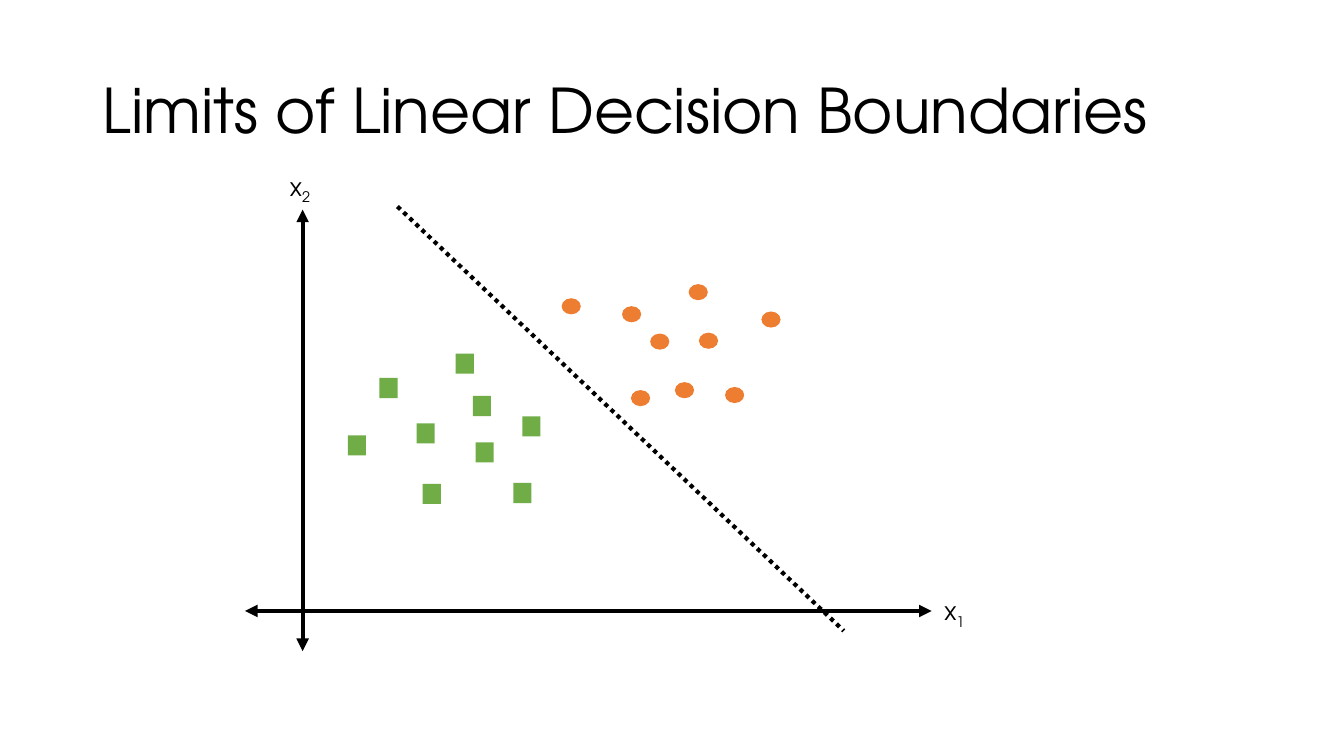
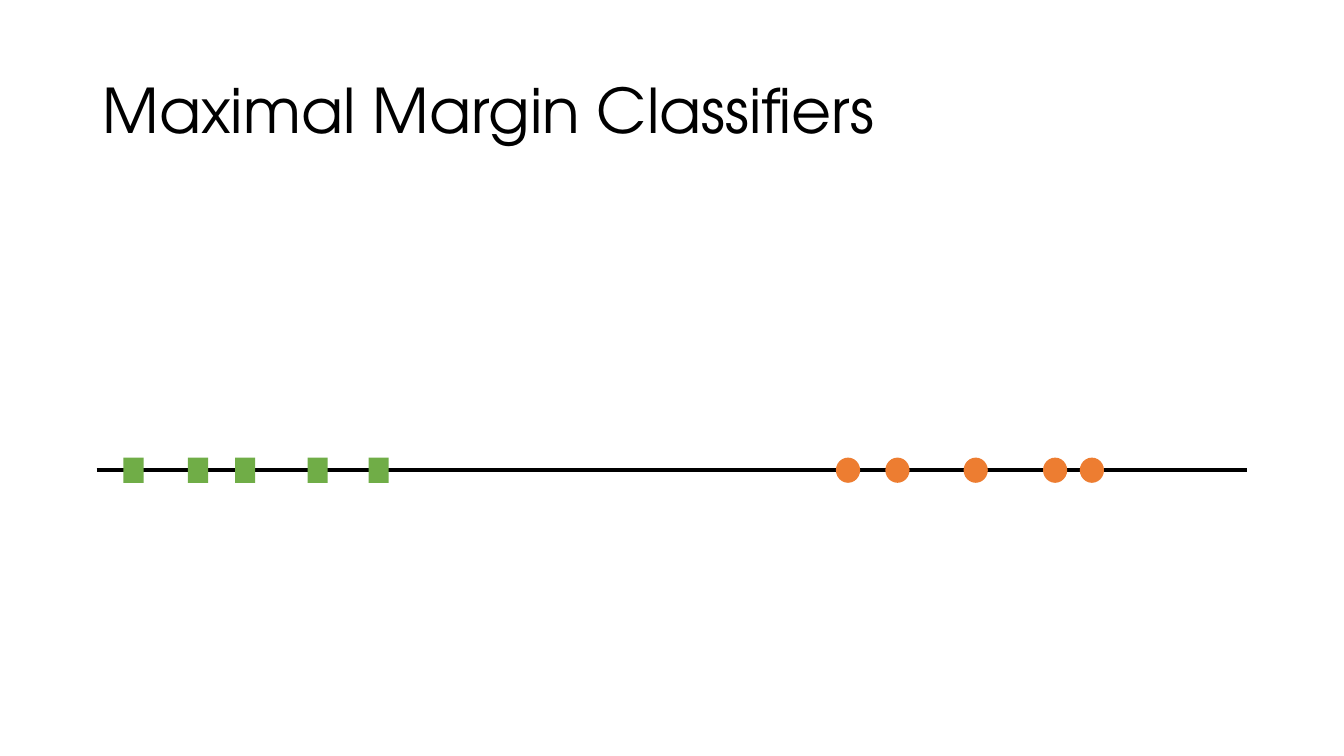
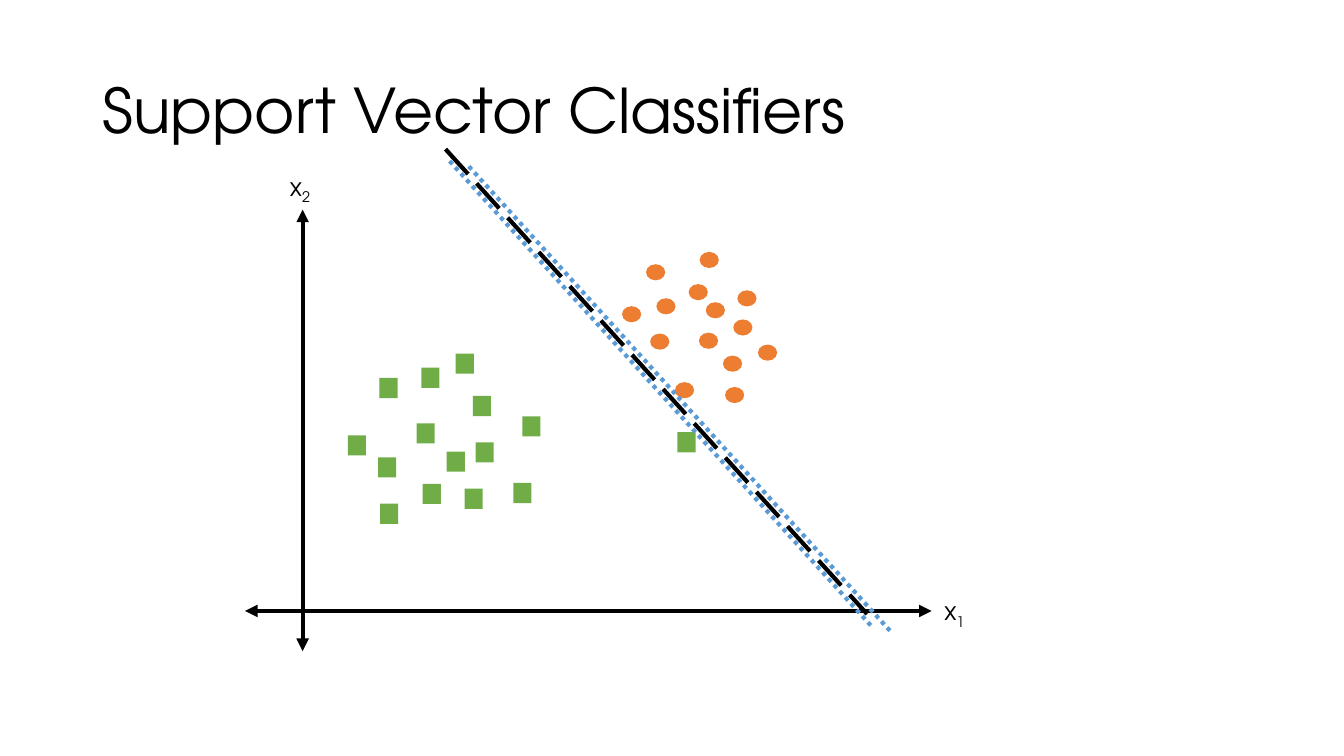
from dataclasses import dataclass

from pptx import Presentation
from pptx.dml.color import RGBColor
from pptx.enum.dml import MSO_LINE_DASH_STYLE as Dash
from pptx.enum.shapes import MSO_CONNECTOR, MSO_SHAPE as Preset
from pptx.enum.text import MSO_ANCHOR, MSO_AUTO_SIZE
from pptx.oxml.ns import qn
from pptx.oxml.xmlchemy import OxmlElement
from pptx.util import Inches, Pt


@dataclass(frozen=True)
class Theme:
    font: str = "TeX Gyre Adventor"
    ink: RGBColor = RGBColor(0x00, 0x00, 0x00)
    square: RGBColor = RGBColor(0x70, 0xAD, 0x47)
    circle: RGBColor = RGBColor(0xED, 0x7D, 0x31)
    margin: RGBColor = RGBColor(0x5B, 0x9B, 0xD5)
    title_size: int = 44
    label_size: int = 18
    line_width: int = 3


@dataclass(frozen=True)
class Box:
    """A region in inches; its inside is measured in percent."""
    left: float
    top: float
    width: float
    height: float

    def point(self, x, y):
        return self.left + self.width * x / 100, self.top + self.height * y / 100

    def region(self, x, y, width, height):
        return Box(*self.point(x, y), self.width * width / 100, self.height * height / 100)

    def emu(self):
        return [Inches(v) for v in (self.left, self.top, self.width, self.height)]


THEME = Theme()
SLIDE = Box(0, 0, 13.33, 7.5)
TITLE = SLIDE.region(6.9, 5.33, 86.27, 19.33)
PLOT = SLIDE.region(18.23, 27.73, 51.09, 58.4)
NUMBER_LINE = SLIDE.region(7.2, 60.53, 85.6, 3.33)

# Marker kinds: preset, colour
SQUARE = (Preset.RECTANGLE, THEME.square)
CIRCLE = (Preset.OVAL, THEME.circle)

# Marker sizes in inches
PLOT_SIZES = {SQUARE: (0.18, 0.2), CIRCLE: (0.19, 0.16)}
NUMBER_SIZES = {SQUARE: (0.2, 0.25), CIRCLE: (0.24, 0.25)}

# Marker centres, in percent of the plot
SQUARES = [(20.9, 40.4), (26.3, 50.7), (16.3, 53.4), (27.2, 64.4), (34.9, 55),
           (40.4, 64.2), (32, 34.9), (34.5, 44.5), (41.7, 49.1)]
CIRCLES = [(56.3, 23.7), (64, 40.9), (67.5, 29.7), (60.4, 29.9), (71.3, 42), (66, 18.7)]
LINEAR_CIRCLES = [(47.5, 21.9), (57.6, 42.7), (76.6, 24.9)]
SUPPORT_SQUARES = [(21, 68.9), (33.3, 65.5), (30.7, 57.1), (27, 38.1), (20.7, 58.4),
                   (64.3, 52.7)]
SUPPORT_CIRCLES = [(59.8, 14.2), (72.5, 26.7), (76.1, 32.4), (73.1, 20.1), (68.5, 22.8),
                   (61.3, 21.9), (71, 34.9), (67.6, 11.4)]

# Lines, in percent of the plot
ORIGIN = (8.4, 90.9)
LINEAR_BOUNDARY = ((22.2, -0.7), (87.2, 95.4))
SUPPORT_BOUNDARY = ((29.2, -13.7), (90.6, 91.6))
MARGIN_SHIFTS = [(0.6, 2.7), (3.4, 3.9)]

# Marker centres, in percent along the number line
NUMBERS = {SQUARE: [3.2, 8.8, 12.9, 19.2, 24.5], CIRCLE: [65.3, 69.6, 76.4, 83.3, 86.5]}


def set_all(target, values):
    for name, value in values.items():
        setattr(target, name, value)


def add_text(slide, box, runs, size, frame_format, spacing=None):
    """Place one paragraph; each run is a (text, baseline) pair."""
    frame = slide.shapes.add_textbox(*box.emu()).text_frame
    set_all(frame, frame_format)
    paragraph = frame.paragraphs[0]
    paragraph.line_spacing = spacing
    for text, baseline in runs:
        run = paragraph.add_run()
        run.text = text
        set_all(run.font, {"name": THEME.font, "size": Pt(size)})
        run.font.color.rgb = THEME.ink
        if baseline:
            run._r.get_or_add_rPr().set("baseline", str(baseline * 1000))


def add_line(slide, box, start, end, color=THEME.ink, dash=None, arrows=False):
    ends = [Inches(v) for v in box.point(*start) + box.point(*end)]
    connector = slide.shapes.add_connector(MSO_CONNECTOR.STRAIGHT, *ends)
    connector.line.color.rgb = color
    set_all(connector.line, {"width": Pt(THEME.line_width), "dash_style": dash})
    properties = connector.element.spPr
    if arrows:
        for tag in ("a:headEnd", "a:tailEnd"):
            arrow = OxmlElement(tag)
            arrow.set("type", "triangle")
            properties.find(qn("a:ln")).append(arrow)
    properties.append(OxmlElement("a:effectLst"))


def add_markers(slide, box, kind, centres, sizes):
    preset, color = kind
    width, height = sizes[kind]
    for centre in centres:
        x, y = box.point(*centre)
        marker = Box(x - width / 2, y - height / 2, width, height)
        shape = slide.shapes.add_shape(preset, *marker.emu())
        shape.shadow.inherit = False
        shape.fill.solid()
        shape.fill.fore_color.rgb = color
        shape.line.fill.background()


def add_titled_slide(presentation, title):
    slide = presentation.slides.add_slide(presentation.slide_layouts[6])
    add_text(slide, TITLE, [(title, 0)], THEME.title_size,
             {"word_wrap": True, "vertical_anchor": MSO_ANCHOR.MIDDLE}, 0.9)
    return slide


def add_plot(slide, box, squares, circles):
    """Axes, axis labels and the two classes of points."""
    x, y = ORIGIN
    add_line(slide, box, (x, 0), (x, 100), arrows=True)
    add_line(slide, box, (0, y), (100, y), arrows=True)
    for index, corner in (("1", (100.4, 86.3)), ("2", (5.1, -9.8))):
        add_text(slide, box.region(*corner, 6.6, 9.1), [("x", 0), (index, -25)],
                 THEME.label_size,
                 {"word_wrap": False, "auto_size": MSO_AUTO_SIZE.SHAPE_TO_FIT_TEXT})
    add_markers(slide, box, CIRCLE, circles, PLOT_SIZES)
    add_markers(slide, box, SQUARE, squares, PLOT_SIZES)


def add_number_line(slide, box):
    add_line(slide, box, (0, 50), (100, 50))
    for kind, positions in NUMBERS.items():
        add_markers(slide, box, kind, [(x, 50) for x in positions], NUMBER_SIZES)


def add_margins(slide, box):
    """The boundary and its two shifted margin lines."""
    add_line(slide, box, *SUPPORT_BOUNDARY, dash=Dash.LONG_DASH)
    for dx, dy in MARGIN_SHIFTS:
        start, end = [(x + dx, y + dy) for x, y in SUPPORT_BOUNDARY]
        add_line(slide, box, start, end, THEME.margin, Dash.ROUND_DOT)


def main():
    presentation = Presentation()
    set_all(presentation, {"slide_width": Inches(SLIDE.width),
                           "slide_height": Inches(SLIDE.height)})

    # Linear boundary
    slide = add_titled_slide(presentation, "Limits of Linear Decision Boundaries")
    add_plot(slide, PLOT, SQUARES, CIRCLES + LINEAR_CIRCLES)
    add_line(slide, PLOT, *LINEAR_BOUNDARY, dash=Dash.ROUND_DOT)

    # Points on one axis
    slide = add_titled_slide(presentation, "Maximal Margin Classifiers")
    add_number_line(slide, NUMBER_LINE)

    # Boundary with margins
    slide = add_titled_slide(presentation, "Support Vector Classifiers")
    add_plot(slide, PLOT, SQUARES + SUPPORT_SQUARES, CIRCLES + SUPPORT_CIRCLES)
    add_margins(slide, PLOT)

    presentation.save("out.pptx")


if __name__ == "__main__":
    main()
